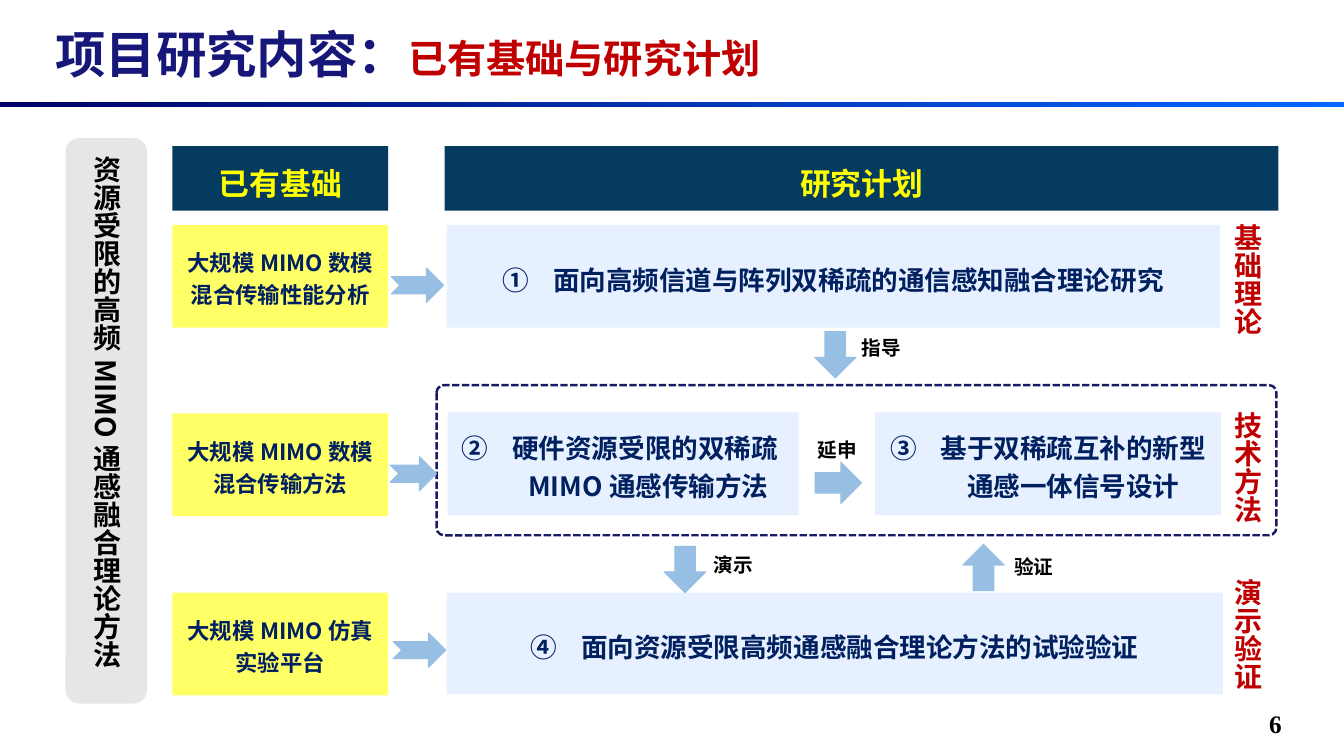
from lxml import etree
from pptx import Presentation
from pptx import util as u
from pptx.dml.color import RGBColor
from pptx.enum import dml, shapes, text
from pptx.oxml.ns import qn

COLORS = {
    "navy": "17177A", "red": "C00000", "black": "000000", "grey": "E6E6E6",
    "pale": "E6F0FF", "ink": "002060", "arrow": "97BFE4", "header": "053B5F",
    "bright": "FFFF00", "yellow": "FFFF66", "dash": "191966",
    "rule_start": "000066", "rule_end": "0066FF",
}
CJK = "Noto Sans CJK SC"
SHAPE = shapes.MSO_SHAPE
ALIGN = text.PP_ALIGN
ANCHOR = text.MSO_ANCHOR


class Deck:
    """Holds the style and the slide being drawn."""

    def __init__(self):
        self.presentation = Presentation()
        self.presentation.slide_width = u.Inches(13.33)
        self.presentation.slide_height = u.Inches(7.5)
        self.slide = self.presentation.slides.add_slide(self.presentation.slide_layouts[6])

    def color(self, name):
        return RGBColor.from_string(COLORS[name])

    def shape(self, kind, box, fill=None, line=None, width=0.75):
        shape = self.slide.shapes.add_shape(kind, *map(u.Inches, box))
        shape.shadow.inherit = False
        if fill:
            shape.fill.solid()
            shape.fill.fore_color.rgb = self.color(fill)
        else:
            shape.fill.background()
        if line:
            shape.line.color.rgb = self.color(line)
            shape.line.width = u.Pt(width)
        else:
            shape.line.fill.background()
        return shape

    def add_text(self, shape, runs, align=ALIGN.LEFT, spacing=None, anchor=ANCHOR.MIDDLE):
        frame = shape.text_frame
        frame.word_wrap = True
        frame.vertical_anchor = anchor
        paragraph = frame.paragraphs[0]
        paragraph.alignment = align
        if spacing:
            paragraph.line_spacing = spacing
        for words, size, color, font in runs:
            run = paragraph.add_run()
            run.text = words
            run.font.size = u.Pt(size)
            run.font.bold = True
            run.font.name = font
            run.font.color.rgb = self.color(color)
            east_asian = etree.SubElement(run.font._element, qn("a:ea"))
            east_asian.set("typeface", CJK)
        return paragraph

    def text_box(self, box, runs, **style):
        shape = self.slide.shapes.add_textbox(*map(u.Inches, box))
        self.add_text(shape, runs, **style)
        return shape

    def rule(self, box):
        shape = self.shape(SHAPE.RECTANGLE, box, "rule_start")
        shape.fill.gradient()
        shape.fill.gradient_angle = 0
        for stop, name in zip(shape.fill.gradient_stops, ("rule_start", "rule_end")):
            stop.color.rgb = self.color(name)

    def header(self, left, width, words):
        shape = self.shape(SHAPE.RECTANGLE, (left, 1.45, width, 0.64), "header")
        frame = shape.text_frame
        frame.margin_left = frame.margin_right = u.Inches(0.31)
        frame.margin_top, frame.margin_bottom = 0, u.Inches(0.08)
        self.add_text(shape, [(words, 22, "bright", "Arial")], ALIGN.CENTER, 1.5)

    def foundation(self, top, words):
        shape = self.shape(SHAPE.RECTANGLE, (1.71, top, 2.14, 1.02), "yellow")
        self.add_text(shape, [(words, 16, "ink", CJK)], ALIGN.CENTER, 1.2)

    def plan(self, number, box, words):
        shape = self.shape(SHAPE.RECTANGLE, box, "pale")
        paragraph = self.add_text(shape, [(words, 19, "ink", CJK)], ALIGN.CENTER, 1.2)
        properties = paragraph._p.get_or_add_pPr()
        properties.set("marL", str(u.Inches(0.5)))
        properties.set("indent", str(-u.Inches(0.5)))
        bullet = etree.SubElement(properties, qn("a:buAutoNum"))
        bullet.set("type", "circleNumDbPlain")
        bullet.set("startAt", str(number))

    def vertical(self, box, words, color):
        shape = self.text_box(box, [(words, 20, color, CJK)], align=ALIGN.JUSTIFY, spacing=1.25)
        shape.text_frame._txBody.bodyPr.set("vert", "eaVert")

    def label(self, left, top, width, words):
        self.text_box((left, top, width, 0.34), [(words, 14, "black", CJK)], anchor=ANCHOR.TOP)

    def notched_arrow(self, left, top, width):
        self.shape(SHAPE.NOTCHED_RIGHT_ARROW, (left, top, width, 0.34), "arrow", "arrow")

    def arrow(self, left, top, rotation):
        shape = self.shape(SHAPE.DOWN_ARROW, (left, top, 0.41, 0.46), "arrow", "arrow")
        shape.rotation = rotation

    def dashed_frame(self, box):
        shape = self.shape(SHAPE.ROUNDED_RECTANGLE, box, line="dash", width=1.75)
        shape.adjustments[0] = 0.05
        shape.line.dash_style = dml.MSO_LINE.SQUARE_DOT


def main():
    deck = Deck()
    deck.rule((0, 1.01, 13.33, 0.05))
    deck.text_box((0.45, 0.24, 9.56, 0.58), [
        ("项目研究内容：", 36, "navy", "Montserrat"),
        ("已有基础与研究计划", 28, "red", "Montserrat"),
    ])
    deck.text_box((12.49, 6.98, 0.73, 0.39), [("6", 18, "black", "Times New Roman")],
                  anchor=ANCHOR.TOP)

    topic = deck.shape(SHAPE.ROUNDED_RECTANGLE, (0.65, 1.37, 0.81, 5.61), "grey")
    topic.adjustments[0] = 0.17
    deck.vertical((0.79, 1.45, 0.62, 5.44), "资源受限的高频MIMO通感融合理论方法", "black")

    deck.header(1.71, 2.14, "已有基础")
    deck.header(4.41, 8.27, "研究计划")

    for top, words in (
        (2.23, "大规模MIMO数模混合传输性能分析"),
        (4.1, "大规模MIMO数模混合传输方法"),
        (5.88, "大规模MIMO仿真实验平台"),
    ):
        deck.foundation(top, words)

    plans = (
        ((4.43, 2.23, 7.67, 1.02), "面向高频信道与阵列双稀疏的通信感知融合理论研究"),
        ((4.44, 4.09, 3.48, 1.02), "硬件资源受限的双稀疏MIMO通感传输方法"),
        ((8.68, 4.09, 3.43, 1.02), "基于双稀疏互补的新型通感一体信号设计"),
        ((4.43, 5.88, 7.7, 1.01), "面向资源受限高频通感融合理论方法的试验验证"),
    )
    for number, (box, words) in enumerate(plans, 1):
        deck.plan(number, box, words)
    deck.dashed_frame((4.33, 3.82, 8.33, 1.49))

    for top, words in ((2.12, "基础理论"), (3.99, "技术方法"), (5.64, "演示验证")):
        deck.vertical((12.12, top, 0.58, 1.34), words, "red")

    for left, top, width in ((3.88, 2.66, 0.52), (3.87, 4.53, 0.46), (3.9, 6.28, 0.52)):
        deck.notched_arrow(left, top, width)

    for left, top, rotation in (
        (8.08, 3.29, 0), (8.11, 4.56, 270), (6.59, 5.42, 0), (9.55, 5.4, 180),
    ):
        deck.arrow(left, top, rotation)

    for left, top, width, words in (
        (8.45, 3.28, 1.1, "指导"), (8.01, 4.3, 0.65, "延申"),
        (6.98, 5.44, 1.06, "演示"), (9.96, 5.46, 1.06, "验证"),
    ):
        deck.label(left, top, width, words)

    deck.presentation.save("out.pptx")


if __name__ == "__main__":
    main()
